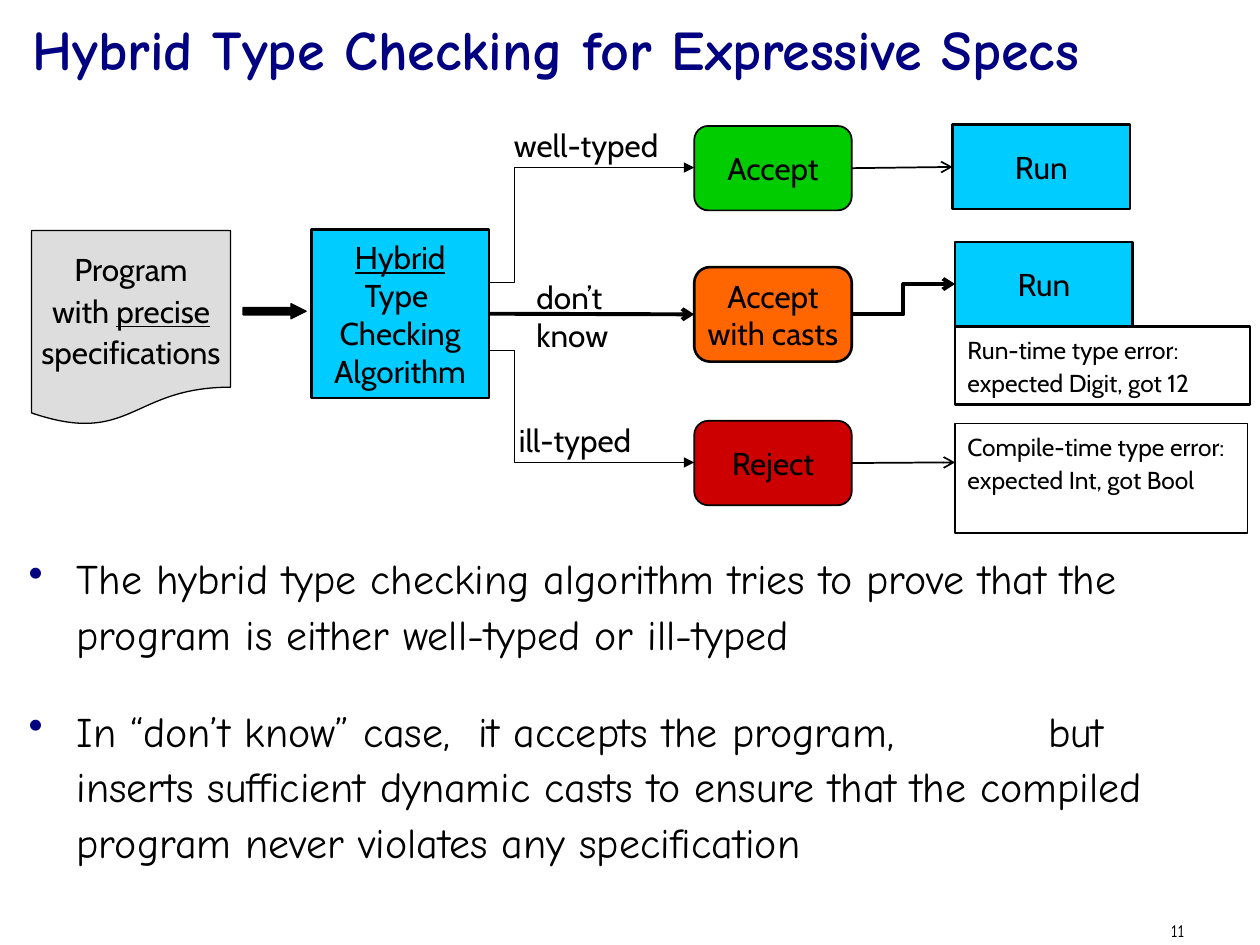
from lxml import etree
from pptx import Presentation
from pptx.dml.color import RGBColor
from pptx.enum.shapes import MSO_CONNECTOR as Connector, MSO_SHAPE as Shape
from pptx.enum.text import MSO_ANCHOR as Anchor, PP_ALIGN as Align
from pptx.oxml.ns import qn
from pptx.util import Inches, Pt

COLORS = {
    "black": "000000",
    "navy": "000080",
    "paper": "DDDDDD",
    "cyan": "00CCFF",
    "green": "00CC00",
    "orange": "FF6600",
    "red": "CC0000",
}
DIAGRAM_FONT = "Cabin"
PROSE_FONT = "Comic Neue"
LEFT, RIGHT = 1, 3  # connection sites of a rectangle


def rgb(name):
    return RGBColor.from_string(COLORS[name])


def add_bullet(paragraph, tab_stop=None):
    """Give the paragraph a navy bullet, a hanging indent and perhaps a tab stop."""
    props = paragraph._p.get_or_add_pPr()
    props.set("marL", str(Inches(0.38)))
    props.set("indent", str(Inches(-0.38)))
    color = etree.SubElement(props, qn("a:buClr"))
    etree.SubElement(color, qn("a:srgbClr"), val=COLORS["navy"])
    etree.SubElement(props, qn("a:buChar"), char="•")
    if tab_stop:
        tabs = etree.SubElement(props, qn("a:tabLst"))
        etree.SubElement(tabs, qn("a:tab"), pos=str(Inches(tab_stop)), algn="l")


def write(frame, text, font=DIAGRAM_FONT, size=18, color="black", bold=False,
          align=Align.LEFT, anchor=Anchor.TOP, spacing=None, wrap=True,
          underlined=None, bullet=False, tab_stop=None):
    """Fill a text frame, one paragraph a line; the underlined word is a run of its own."""
    frame.word_wrap = wrap
    frame.vertical_anchor = anchor
    for index, line in enumerate(text.split("\n")):
        paragraph = frame.add_paragraph() if index else frame.paragraphs[0]
        if bullet:
            add_bullet(paragraph, tab_stop)
        paragraph.alignment = align
        if spacing:
            paragraph.line_spacing = spacing
        before, word, after = line.partition(underlined) if underlined else (line, "", "")
        for part in filter(None, (before, word, after)):
            run = paragraph.add_run()
            run.text = part
            run.font.name = font
            run.font.size = Pt(size)
            run.font.bold = bold
            run.font.underline = bool(word) and part == word
            run.font.color.rgb = rgb(color)


def add_text(slide, text, left, top, width, height, **text_format):
    box = slide.shapes.add_textbox(Inches(left), Inches(top), Inches(width), Inches(height))
    write(box.text_frame, text, **text_format)


def add_box(slide, kind, left, top, width, height, fill=None, line_width=1.5):
    box = slide.shapes.add_shape(kind, Inches(left), Inches(top), Inches(width), Inches(height))
    box.shadow.inherit = False
    if fill:
        box.fill.solid()
        box.fill.fore_color.rgb = rgb(fill)
    else:
        box.fill.background()
    box.line.color.rgb = rgb("black")
    box.line.width = Pt(line_width)
    return box


def add_step(slide, text, kind, left, top, width, height, fill, line_width=1.5,
             spacing=None, underlined=None):
    step = add_box(slide, kind, left, top, width, height, fill, line_width)
    write(step.text_frame, text, align=Align.CENTER, anchor=Anchor.MIDDLE, wrap=False,
          spacing=spacing, underlined=underlined)
    return step


def add_error(slide, text, left, top, width, height, line_width):
    error = add_box(slide, Shape.RECTANGLE, left, top, width, height, line_width=line_width)
    write(error.text_frame, text, size=14, spacing=1.1)


def add_arrow(slide, start, end, width, head="arrow", kind=Connector.STRAIGHT,
              bend=None, source=None, target=None):
    """Draw an arrow, joined to the right of source and the left of target if given."""
    arrow = slide.shapes.add_connector(kind, *map(Inches, start + end))
    if source:
        arrow.begin_connect(source, RIGHT)
    if target:
        arrow.end_connect(target, LEFT)
    arrow.line.color.rgb = rgb("black")
    arrow.line.width = Pt(width)
    etree.SubElement(arrow.line._get_or_add_ln(), qn("a:tailEnd"), type=head)
    props = arrow._element.spPr
    etree.SubElement(props, qn("a:effectLst"))
    if bend:
        guides = props.find(qn("a:prstGeom")).get_or_add_avLst()
        etree.SubElement(guides, qn("a:gd"), name="adj1", fmla=f"val {round(bend * 100000)}")


def add_diagram(slide):
    add_step(slide, "Program\nwith precise\nspecifications", Shape.FLOWCHART_DOCUMENT,
             0.25, 1.83, 1.58, 1.55, "paper", 0.75, spacing=1.1, underlined="precise")
    block_arrow = add_box(slide, Shape.RIGHT_ARROW, 1.93, 2.41, 0.5, 0.12, "black", 0.75)
    block_arrow.adjustments[1] = 1
    checker = add_step(slide, "Hybrid\nType \nChecking\nAlgorithm", Shape.RECTANGLE,
                       2.47, 1.82, 1.41, 1.34, "cyan", underlined="Hybrid")

    for start_y, end_y in ((2.24, 1.33), (2.78, 3.67)):
        add_arrow(slide, (3.87, start_y), (5.51, end_y), 0.75, "triangle",
                  Connector.ELBOW, bend=0.13)

    verdict_x, verdict_width = 5.51, 1.25
    accept = add_step(slide, "Accept", Shape.ROUNDED_RECTANGLE,
                      verdict_x, 1, verdict_width, 0.67, "green", 1)
    casts = add_step(slide, "Accept\nwith casts", Shape.ROUNDED_RECTANGLE,
                     verdict_x, 2.12, verdict_width, 0.75, "orange")
    reject = add_step(slide, "Reject", Shape.ROUNDED_RECTANGLE,
                      verdict_x, 3.34, verdict_width, 0.67, "red", 1)

    add_text(slide, "well-typed", 3.98, 0.95, 1.41, 0.4)
    add_text(slide, "don’t\nknow", 4.16, 2.16, 0.83, 0.7)
    add_text(slide, "ill-typed", 4.02, 3.29, 1.16, 0.4)

    add_error(slide, "Compile-time type error:\nexpected Int, got Bool",
              7.58, 3.36, 2.32, 0.87, 0.75)
    add_error(slide, "Run-time type error:\nexpected Digit, got 12",
              7.58, 2.59, 2.34, 0.62, 1.5)
    run, run_with_casts = (
        add_step(slide, "Run", Shape.RECTANGLE, left, top, 1.41, 0.67, "cyan")
        for left, top in ((7.56, 0.99), (7.58, 1.92)))

    add_arrow(slide, (6.76, 1.33), (7.56, 1.33), 1, source=accept, target=run)
    add_arrow(slide, (6.76, 3.67), (7.58, 3.67), 1, source=reject)
    add_arrow(slide, (6.76, 2.49), (7.58, 2.26), 2.25, kind=Connector.ELBOW,
              source=casts, target=run_with_casts)
    add_arrow(slide, (3.88, 2.49), (5.51, 2.49), 2.25, source=checker, target=casts)


def main():
    deck = Presentation()
    deck.slide_width, deck.slide_height = Inches(10), Inches(7.5)
    slide = deck.slides.add_slide(deck.slide_layouts[6])

    add_text(slide, "Hybrid Type Checking for Expressive Specs", 0.16, -0.24, 9.84, 1.25,
             font=PROSE_FONT, size=32, color="navy", bold=True, anchor=Anchor.MIDDLE)
    add_diagram(slide)
    prose = {"font": PROSE_FONT, "size": 24, "spacing": 1.1, "bullet": True}
    add_text(slide, "The hybrid type checking algorithm tries to prove that the program "
             "is either well-typed or ill-typed", 0.13, 4.3, 9.24, 1.26, **prose)
    add_text(slide, "In “don’t know” case,  it accepts the program,\tbut inserts sufficient "
             "dynamic casts to ensure that the compiled program never violates any "
             "specification", 0.13, 5.51, 9.24, 1.81, tab_stop=8.09, **prose)
    add_text(slide, "11", 7.17, 7.25, 2.33, 0.25, font=PROSE_FONT, size=10, align=Align.RIGHT)

    deck.save("out.pptx")


if __name__ == "__main__":
    main()
